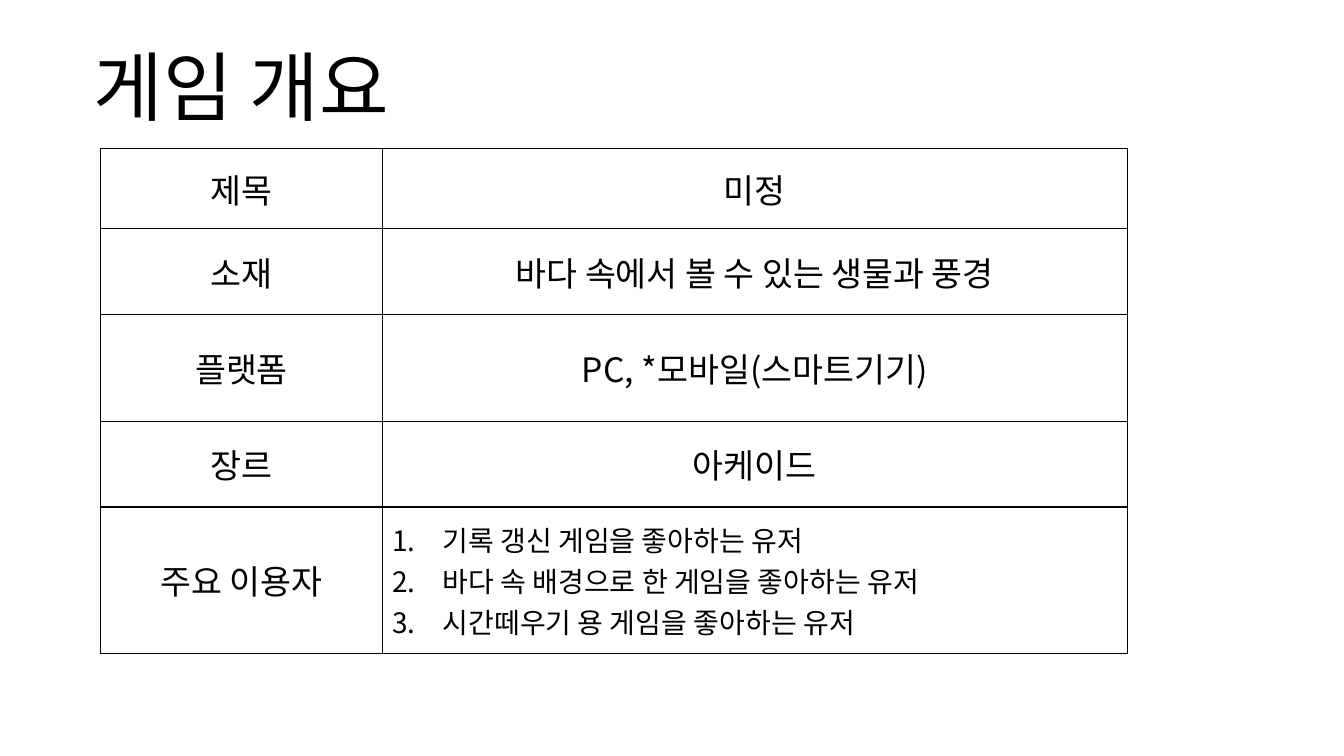
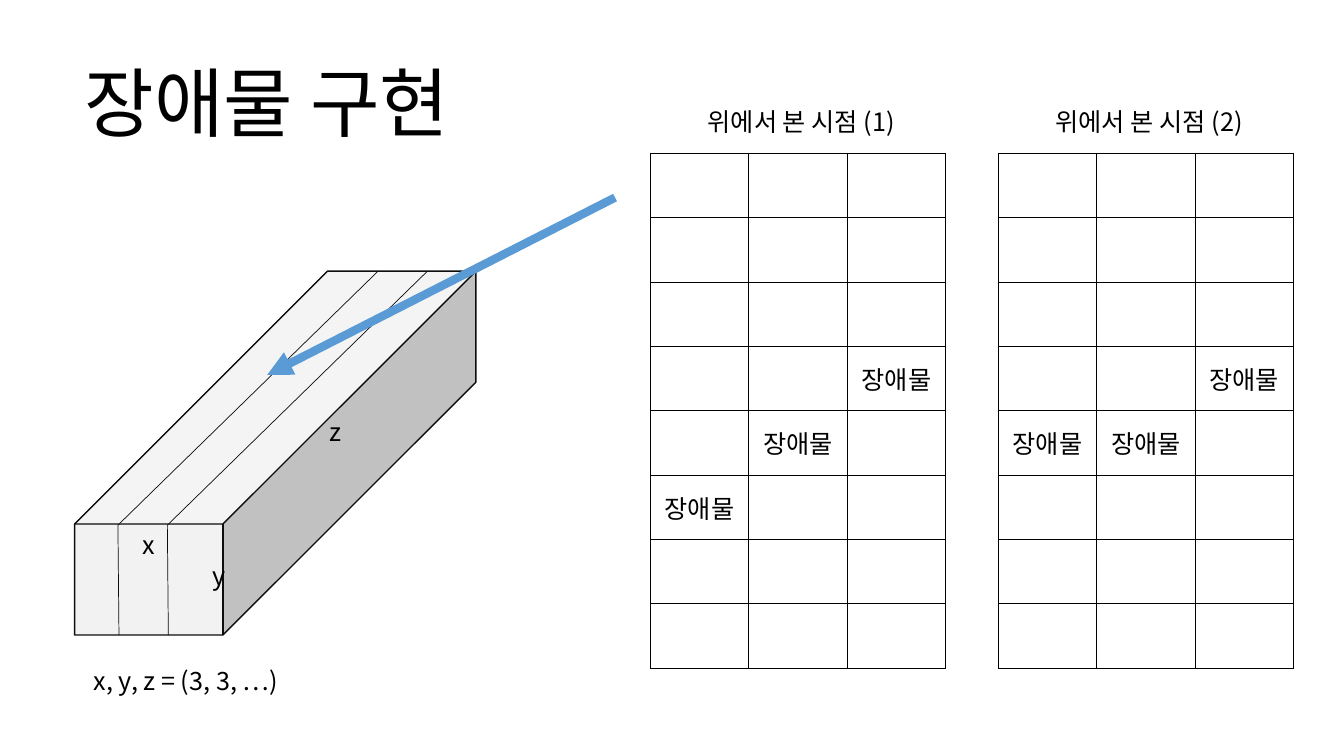
from lxml import etree
from pptx import Presentation
from pptx.dml.color import RGBColor
from pptx.enum import shapes as kinds, text as styles
from pptx.oxml import ns
from pptx.util import Inches, Pt

FONT = "Noto Sans CJK KR"
BLACK = RGBColor(0x00, 0x00, 0x00)
WHITE = RGBColor(0xFF, 0xFF, 0xFF)
EDGE = RGBColor(0x0D, 0x0D, 0x0D)
FACE = RGBColor(0xF2, 0xF2, 0xF2)
ARROW = RGBColor(0x5B, 0x9B, 0xD5)
TITLE_SIZE, LABEL_SIZE, CELL_SIZE, LIST_SIZE = 54, 18, 24, 20

OVERVIEW = [
    ("제목", ["미정"], 0.8),
    ("소재", ["바다 속에서 볼 수 있는 생물과 풍경"], 0.85),
    ("플랫폼", ["PC, *모바일(스마트기기)"], 1.06),
    ("장르", ["아케이드"], 0.85),
    ("주요 이용자", ["기록 갱신 게임을 좋아하는 유저",
                "바다 속 배경으로 한 게임을 좋아하는 유저",
                "시간떼우기 용 게임을 좋아하는 유저"], 1.45),
]


def add_child(parent, tag, **attributes):
    """Append a DrawingML element."""
    return etree.SubElement(parent, ns.qn(tag), attributes)


def write(paragraph, content, size):
    """Add one run in the shared font."""
    run = paragraph.add_run()
    run.text = content
    run.font.size = Pt(size)
    run.font.name = FONT
    run.font.color.rgb = BLACK
    add_child(run.font._element, "a:ea", typeface=FONT)


def add_label(slide, content, left, top, width, height=0.4, size=LABEL_SIZE):
    """Place a text box that grows with its text."""
    frame = slide.shapes.add_textbox(
        Inches(left), Inches(top), Inches(width), Inches(height)).text_frame
    frame.word_wrap = True
    frame.auto_size = styles.MSO_AUTO_SIZE.SHAPE_TO_FIT_TEXT
    write(frame.paragraphs[0], content, size)


def add_title(slide, content, left, top, width):
    """Place the slide title."""
    add_label(slide, content, left, top, width, 1.01, TITLE_SIZE)


def add_line(canvas, start, end, color, weight, arrow=False):
    """Draw a straight line, with an arrowhead at its end on request."""
    line = canvas.add_connector(kinds.MSO_CONNECTOR.STRAIGHT,
                                *map(Inches, start + end))
    line.line.color.rgb = color
    line.line.width = Pt(weight)
    if arrow:
        add_child(line.line._get_or_add_ln(), "a:tailEnd", type="triangle")
    add_child(line._element.spPr, "a:effectLst")


def add_grid(slide, left, top, widths, heights, border, fill=None):
    """Place a plain ruled table and return it."""
    table = slide.shapes.add_table(
        len(heights), len(widths), Inches(left), Inches(top),
        Inches(sum(widths)), Inches(sum(heights))).table
    table.first_row = table.horz_banding = False
    for column, width in zip(table.columns, widths):
        column.width = Inches(width)
    for row, height in zip(table.rows, heights):
        row.height = Inches(height)
    for cell in table.iter_cells():
        cell.vertical_anchor = styles.MSO_ANCHOR.MIDDLE
        properties = cell._tc.get_or_add_tcPr()
        for side in "LRTB":
            edge = add_child(properties, f"a:ln{side}", w=str(Pt(border)))
            add_child(add_child(edge, "a:solidFill"), "a:srgbClr", val=str(BLACK))
        if fill is None:
            cell.fill.background()
        else:
            cell.fill.solid()
            cell.fill.fore_color.rgb = fill
    return table


def write_centred(cell, content, size):
    """Write one centred line in a cell."""
    paragraph = cell.text_frame.paragraphs[0]
    paragraph.alignment = styles.PP_ALIGN.CENTER
    write(paragraph, content, size)


def write_numbered(cell, entries):
    """Write a numbered list in a cell."""
    frame = cell.text_frame
    for index, entry in enumerate(entries):
        paragraph = frame.add_paragraph() if index else frame.paragraphs[0]
        properties = paragraph._p.get_or_add_pPr()
        properties.set("marL", str(Inches(0.5)))
        properties.set("indent", str(Inches(-0.5)))
        add_child(properties, "a:buFont", typeface="+mj-lt")
        add_child(properties, "a:buAutoNum", type="arabicPeriod")
        write(paragraph, entry, LIST_SIZE)


def add_overview(slide, left, top):
    """Place the table of game facts."""
    table = add_grid(slide, left, top, [2.79, 7.39],
                     [height for _, _, height in OVERVIEW], 1)
    for row, (topic, entries, _) in enumerate(OVERVIEW):
        write_centred(table.cell(row, 0), topic, CELL_SIZE)
        if len(entries) > 1:
            write_numbered(table.cell(row, 1), entries)
        else:
            write_centred(table.cell(row, 1), entries[0], CELL_SIZE)


def add_track(slide, left, top, width=3.98, height=3.61):
    """Draw the three-lane block with its axis names."""
    group = slide.shapes.add_group_shape().shapes
    block = group.add_shape(kinds.MSO_SHAPE.CUBE, Inches(left), Inches(top),
                            Inches(width), Inches(height))
    block.adjustments[0] = 0.695
    block.shadow.inherit = False
    block.fill.solid()
    block.fill.fore_color.rgb = FACE
    block.line.color.rgb = EDGE
    block.line.width = Pt(1)
    front = top + 2.52
    for lane in range(2):
        x = left + 0.43 + 0.49 * lane
        add_line(group, (x, front), (x + 0.01, top + height), EDGE, 0.5)
        add_line(group, (x, front), (x + 2.58, top), EDGE, 0.5)
    for axis, x, y, span in (("x", 0.58, 2.51, 0.56), ("y", 1.27, 2.82, 0.32),
                             ("z", 2.43, 1.39, 0.28)):
        add_label(slide, axis, left + x, top + y, span)
    add_label(slide, "x, y, z = (3, 3, …)", left + 0.09, top + 3.86, 2.84)


def add_top_view(slide, number, left, top, obstacles):
    """Place a captioned 3 by 8 lane grid with its obstacles."""
    add_label(slide, f"위에서 본 시점 ({number})", left + 0.47, top - 0.51, 2.58)
    table = add_grid(slide, left, top, [2.93 / 3] * 3, [5.11 / 8] * 8, 0.5, WHITE)
    for row, column in obstacles:
        write_centred(table.cell(row, column), "장애물", LABEL_SIZE)


def build_overview_slide(slide):
    """Build the game overview."""
    add_overview(slide, 1, 1.47)
    add_title(slide, "게임 개요", 0.83, 0.35, 3.73)


def build_obstacle_slide(slide):
    """Build the obstacle explanation."""
    add_track(slide, 0.74, 2.69)
    add_title(slide, "장애물 구현", 0.74, 0.51, 6.11)
    add_line(slide.shapes, (6.1, 1.96), (2.65, 3.72), ARROW, 6, arrow=True)
    add_top_view(slide, 1, 6.45, 1.52, [(3, 2), (4, 1), (5, 0)])
    add_top_view(slide, 2, 9.9, 1.52, [(3, 2), (4, 0), (4, 1)])


def main():
    """Build and save the presentation."""
    deck = Presentation()
    deck.slide_width, deck.slide_height = Inches(13.33), Inches(7.5)
    for build in (build_overview_slide, build_obstacle_slide):
        build(deck.slides.add_slide(deck.slide_layouts[6]))
    deck.save("out.pptx")


if __name__ == "__main__":
    main()
